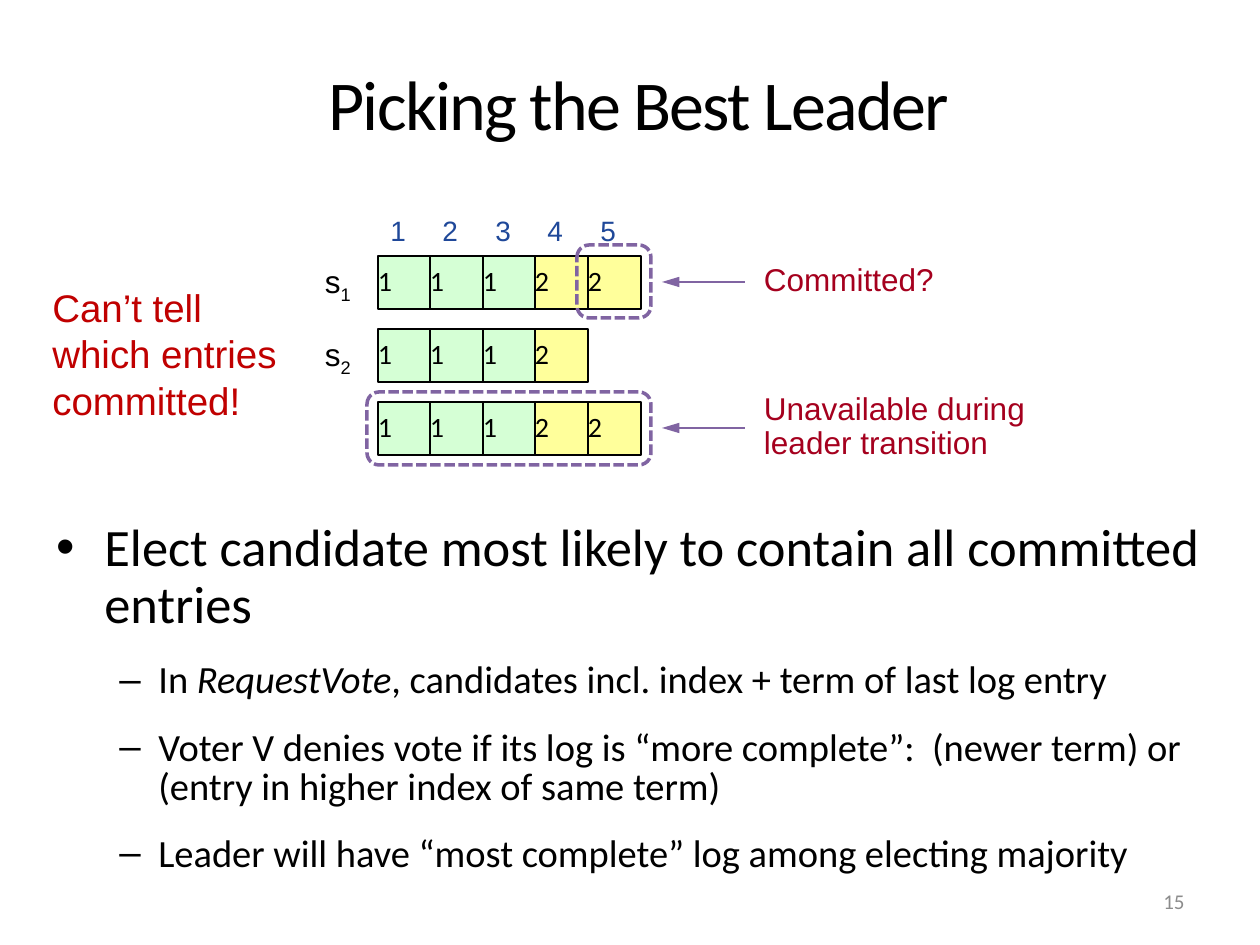
"""Build the slide on picking the best leader from replicated logs."""
from dataclasses import dataclass

from lxml import etree
from pptx import Presentation
from pptx import util as u
from pptx.dml.color import RGBColor
from pptx.enum import dml, shapes, text
from pptx.oxml import ns

BLACK = RGBColor(0x00, 0x00, 0x00)
GREY = RGBColor(0x8C, 0x8C, 0x8C)
BLUE = RGBColor(0x1F, 0x48, 0x99)
RED = RGBColor(0xC0, 0x00, 0x00)
CRIMSON = RGBColor(0xA5, 0x00, 0x1E)
PURPLE = RGBColor(0x80, 0x64, 0xA2)
TERM_FILLS = {1: RGBColor(0xD5, 0xFF, 0xD5), 2: RGBColor(0xFF, 0xFF, 0x9B)}

SCALE = 914400 / 126
LOG_LEFT, LOG_TOP = 378, 256
CELL, ROW_PITCH = 53, 73
LOGS = [[1, 1, 1, 2, 2], [1, 1, 1, 2], [1, 1, 1, 2, 2]]


@dataclass
class Span:
    words: str
    italic: bool = False
    baseline: int = 0


@dataclass
class Style:
    size: int
    color: RGBColor = BLACK
    font: str = "Arial"


@dataclass
class Bullet:
    spans: list[Span]
    level: int
    mark: str
    size: int
    margin: int
    hang: int
    spacing: float


@dataclass
class Callout:
    words: str
    text_top: int
    text_width: int
    text_height: int
    arrow_y: int
    frame: tuple[int, int, int, int]


BULLETS = [
    Bullet([Span("Elect candidate most likely to contain all committed entries")],
           0, "•", 30, 48, 48, 0.9),
] + [
    Bullet(spans, 1, "–", 22, 102, 39, 0.85)
    for spans in (
        [Span("In "), Span("RequestVote", italic=True),
         Span(", candidates incl. index + term of last log entry")],
        [Span("Voter V denies vote if its log is “more complete”:  "
              "(newer term) or (entry in higher index of same term)")],
        [Span("Leader will have “most complete” log among electing majority")],
    )
]

CALLOUTS = [
    Callout("Unavailable during leader transition", 394, 349, 67, 428, (367, 392, 284, 73)),
    Callout("Committed?", 265, 252, 34, 282, (577, 245, 74, 73)),
]


def px(length: float) -> u.Emu:
    return u.Emu(round(length * SCALE))


def column_left(column: int) -> int:
    return LOG_LEFT + column * 105 // 2


def add_spans(para, spans: list[Span], style: Style) -> None:
    for item in spans:
        span = para.add_run()
        span.text = item.words
        span.font.size = u.Pt(style.size)
        span.font.name = style.font
        span.font.color.rgb = style.color
        if item.italic:
            span.font.italic = True
        if item.baseline:
            span.font._element.set("baseline", str(item.baseline))


def clear_insets(frame) -> None:
    frame.margin_left = frame.margin_right = 0
    frame.margin_top = frame.margin_bottom = 0


def add_box(page, left: int, top: int, width: int, height: int, inset: bool = True):
    box = page.shapes.add_textbox(px(left), px(top), px(width), px(height))
    box.text_frame.word_wrap = True
    if not inset:
        clear_insets(box.text_frame)
    return box


def add_label(page, area: tuple[int, int, int, int], spans: list[Span], style: Style,
              inset: bool = True):
    box = add_box(page, *area, inset=inset)
    para = box.text_frame.paragraphs[0]
    add_spans(para, spans, style)
    return para


def add_title(page) -> None:
    title = page.shapes.title
    title.left, title.top, title.width, title.height = map(px, (48, 3, 1181, 147))
    title.text_frame.vertical_anchor = text.MSO_ANCHOR.BOTTOM
    para = title.text_frame.paragraphs[0]
    para.alignment = text.PP_ALIGN.CENTER
    para.line_spacing = 0.8
    add_spans(para, [Span("Picking the Best Leader")], Style(40, font="Calibri"))
    para.runs[0].font._element.set("spc", "-100")


def add_bullets(page) -> None:
    frame = add_box(page, 44, 515, 1184, 397).text_frame
    for index, bullet in enumerate(BULLETS):
        para = frame.add_paragraph() if index else frame.paragraphs[0]
        para.level = bullet.level
        para.line_spacing = bullet.spacing
        para.space_before = para.space_after = u.Pt(8)
        add_spans(para, bullet.spans, Style(bullet.size, font="Calibri"))
        props = para._p.get_or_add_pPr()
        props.set("marL", str(px(bullet.margin)))
        props.set("indent", str(px(-bullet.hang)))
        etree.SubElement(props, ns.qn("a:buFont")).set("typeface", "Arial")
        etree.SubElement(props, ns.qn("a:buChar")).set("char", bullet.mark)


def add_entry(page, column: int, row: int, term: int) -> None:
    cell = page.shapes.add_shape(
        shapes.MSO_SHAPE.RECTANGLE, px(column_left(column)),
        px(LOG_TOP + row * ROW_PITCH), px(CELL), px(CELL))
    cell.shadow.inherit = False
    cell.fill.solid()
    cell.fill.fore_color.rgb = TERM_FILLS[term]
    cell.line.color.rgb = BLACK
    cell.line.width = u.Pt(1.5)
    clear_insets(cell.text_frame)
    cell.text_frame.vertical_anchor = text.MSO_ANCHOR.MIDDLE
    para = cell.text_frame.paragraphs[0]
    para.alignment = text.PP_ALIGN.LEFT
    para.line_spacing = u.Pt(17)
    add_spans(para, [Span(str(term))], Style(16, font="Calibri"))


def add_callout(page, callout: Callout) -> None:
    frame = page.shapes.add_shape(
        shapes.MSO_SHAPE.ROUNDED_RECTANGLE, *map(px, callout.frame))
    frame.shadow.inherit = False
    frame.fill.background()
    frame.line.color.rgb = PURPLE
    frame.line.width = u.Pt(2)
    frame.line.dash_style = dml.MSO_LINE.SQUARE_DOT
    area = (764, callout.text_top, callout.text_width, callout.text_height)
    para = add_label(page, area, [Span(callout.words)], Style(18, CRIMSON), inset=False)
    para.line_spacing = u.Pt(19)
    arrow = page.shapes.add_connector(
        shapes.MSO_CONNECTOR.STRAIGHT, px(745), px(callout.arrow_y),
        px(662), px(callout.arrow_y))
    arrow.line.color.rgb = PURPLE
    arrow.line.width = u.Pt(1.5)
    head = etree.SubElement(arrow.line._get_or_add_ln(), ns.qn("a:tailEnd"))
    for key, value in (("type", "triangle"), ("w", "med"), ("len", "lg")):
        head.set(key, value)
    etree.SubElement(arrow._element.spPr, ns.qn("a:effectLst"))


def main() -> None:
    deck = Presentation()
    deck.slide_width, deck.slide_height = px(1260), px(945)
    page = deck.slides.add_slide(deck.slide_layouts[5])
    add_title(page)
    add_bullets(page)
    number = add_label(page, (903, 876, 294, 50), [Span("15")], Style(12, GREY, "Calibri"))
    number.alignment = text.PP_ALIGN.RIGHT
    page.shapes[-1].text_frame.vertical_anchor = text.MSO_ANCHOR.MIDDLE
    for row, terms in enumerate(LOGS):
        for column, term in enumerate(terms):
            add_entry(page, column, row, term)
    for column in range(5):
        add_label(page, (column_left(column), 207, CELL, 47),
                  [Span(str(column + 1))], Style(16, BLUE))
    for callout in CALLOUTS:
        add_callout(page, callout)
    add_label(page, (40, 278, 270, 152),
              [Span("Can’t tell which entries committed!")], Style(22, RED))
    for row in range(2):
        add_label(page, (325, 262 + row * ROW_PITCH, CELL, 38),
                  [Span("s"), Span(str(row + 1), baseline=-25000)], Style(18), inset=False)
    deck.save("out.pptx")


main()
